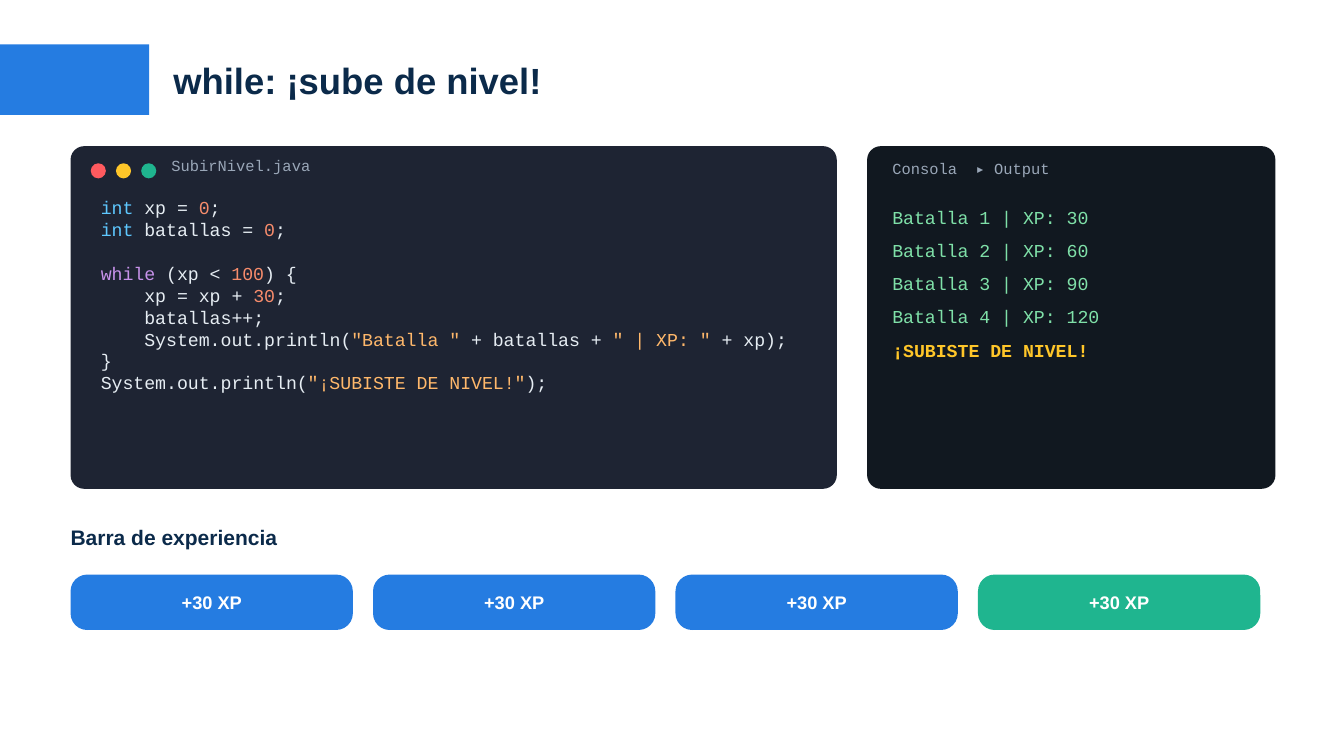
import pptx
import pptx.util
import pptx.dml.color
import pptx.enum.shapes
import pptx.enum.text

Inches = pptx.util.Inches
SHAPES = pptx.enum.shapes.MSO_SHAPE
ALIGN = pptx.enum.text.PP_ALIGN
ANCHOR = pptx.enum.text.MSO_ANCHOR

BLUE, GREEN, NAVY = "257CE1", "1FB58F", "0B2A4A"
RED, YELLOW, WHITE, GRAY = "FF5A5F", "FFC629", "FFFFFF", "9AA7B8"
PLAIN, TYPE, KEYWORD, NUMBER, STRING = "E6EDF3", "5EC8FF", "C792EA", "F78C6C", "FFB86B"
CONSOLE_GREEN = "7FE0A8"
CODE_FONT = "Courier New"
CODE_LINE_HEIGHT = 15.7

# Each code line is a list of (text, colour) pieces; an empty list is a line gap.
CODE = [
    [("int ", TYPE), ("xp = ", PLAIN), ("0", NUMBER), (";", PLAIN)],
    [("int ", TYPE), ("batallas = ", PLAIN), ("0", NUMBER), (";", PLAIN)],
    [],
    [("while ", KEYWORD), ("(xp < ", PLAIN), ("100", NUMBER), (") {", PLAIN)],
    [("    xp = xp + ", PLAIN), ("30", NUMBER), (";", PLAIN)],
    [("    batallas++;", PLAIN)],
    [("    System.out.println(", PLAIN), ('"Batalla " ', STRING), ("+ batallas + ", PLAIN),
     ('" | XP: " ', STRING), ("+ xp);", PLAIN)],
    [("}", PLAIN)],
    [("System.out.println(", PLAIN), ('"¡SUBISTE DE NIVEL!"', STRING), (");", PLAIN)],
]


def color(hex_string):
    return pptx.dml.color.RGBColor.from_string(hex_string)


def style(font, size, hex_string, name="Arial", bold=False):
    font.size = pptx.util.Pt(size)
    font.name = name
    font.bold = bold
    font.color.rgb = color(hex_string)


def add_block(slide, kind, left, top, width, height, fill, corner=None):
    shape = slide.shapes.add_shape(kind, Inches(left), Inches(top), Inches(width), Inches(height))
    shape.shadow.inherit = False
    shape.fill.solid()
    shape.fill.fore_color.rgb = color(fill)
    shape.line.fill.background()
    if corner is not None:
        shape.adjustments[0] = corner
    return shape


def prepare_frame(shape, anchor=ANCHOR.TOP):
    frame = shape.text_frame
    frame.word_wrap = True
    frame.vertical_anchor = anchor
    frame.margin_left = frame.margin_right = frame.margin_top = frame.margin_bottom = 0
    return frame


def add_lines(slide, left, top, width, height, lines, gap=0, size=13, name=CODE_FONT,
              anchor=ANCHOR.TOP, bold_color=None):
    """Write lines of coloured pieces; pieces in bold_color are bold."""
    box = slide.shapes.add_textbox(Inches(left), Inches(top), Inches(width), Inches(height))
    frame = prepare_frame(box, anchor)
    paragraph, skipped = None, 0
    for pieces in lines:
        if not pieces:
            skipped += 1
            continue
        paragraph = frame.add_paragraph() if paragraph is not None else frame.paragraphs[0]
        paragraph.space_after = pptx.util.Pt(gap)
        if skipped:
            paragraph.space_before = pptx.util.Pt(skipped * CODE_LINE_HEIGHT)
            skipped = 0
        for text, hex_string in pieces:
            run = paragraph.add_run()
            run.text = text
            style(run.font, size, hex_string, name, hex_string == bold_color)


def add_header(slide, left, top, width, height):
    add_block(slide, SHAPES.RECTANGLE, left, top, 1.48, height, BLUE)
    add_lines(slide, left + 1.72, top, width - 2.33, height, [[("while: ¡sube de nivel!", NAVY)]],
              size=26, name="Arial", anchor=ANCHOR.MIDDLE, bold_color=NAVY)


def add_editor(slide, left, top, width, height):
    add_block(slide, SHAPES.ROUNDED_RECTANGLE, left, top, width, height, "1E2433", 0.04)
    # Window buttons
    for index, fill in enumerate((RED, YELLOW, GREEN)):
        add_block(slide, SHAPES.OVAL, left + 0.2 + 0.25 * index, top + 0.17, 0.15, 0.15, fill)
    add_lines(slide, left + 1, top + 0.1, width - 1.2, 0.3, [[("SubirNivel.java", GRAY)]], size=11)
    add_lines(slide, left + 0.3, top + 0.5, width - 0.5, height - 0.65, CODE)


def add_console(slide, left, top, width, height):
    add_block(slide, SHAPES.ROUNDED_RECTANGLE, left, top, width, height, "111820", 0.04)
    add_lines(slide, left + 0.25, top + 0.13, width - 0.45, 0.35,
              [[("Consola  ▸ Output", GRAY)]], size=11)
    output = [[(f"Batalla {battle} | XP: {30 * battle}", CONSOLE_GREEN)] for battle in range(1, 5)]
    output.append([("¡SUBISTE DE NIVEL!", YELLOW)])
    add_lines(slide, left + 0.25, top + 0.6, width - 0.35, height - 0.7, output,
              gap=8, bold_color=YELLOW)


def add_experience_bar(slide, left, top, width, height):
    add_lines(slide, left, top, 3, 0.4, [[("Barra de experiencia", NAVY)]],
              size=15, name="Arial", bold_color=NAVY)
    # Equal steps, the last one completing the level
    fills, gap, offset = (BLUE, BLUE, BLUE, GREEN), 0.2, 0.5
    step_width = (width - gap * (len(fills) - 1)) / len(fills)
    for index, fill in enumerate(fills):
        step = add_block(slide, SHAPES.ROUNDED_RECTANGLE, left + index * (step_width + gap),
                         top + offset, step_width, height - offset, fill, 0.3)
        frame = prepare_frame(step, ANCHOR.MIDDLE)
        frame.text = "+30 XP"
        paragraph = frame.paragraphs[0]
        paragraph.alignment = ALIGN.CENTER
        style(paragraph.runs[0].font, 13, WHITE, bold=True)


def main():
    presentation = pptx.Presentation()
    presentation.slide_width = Inches(13.33)
    presentation.slide_height = Inches(7.5)
    slide = presentation.slides.add_slide(presentation.slide_layouts[6])
    slide.background.fill.solid()
    slide.background.fill.fore_color.rgb = color(WHITE)

    add_header(slide, 0, 0.44, 13.33, 0.7)
    add_editor(slide, 0.7, 1.45, 7.6, 3.4)
    add_console(slide, 8.6, 1.45, 4.05, 3.4)
    add_experience_bar(slide, 0.7, 5.2, 11.8, 1.05)

    presentation.save("out.pptx")


if __name__ == "__main__":
    main()
